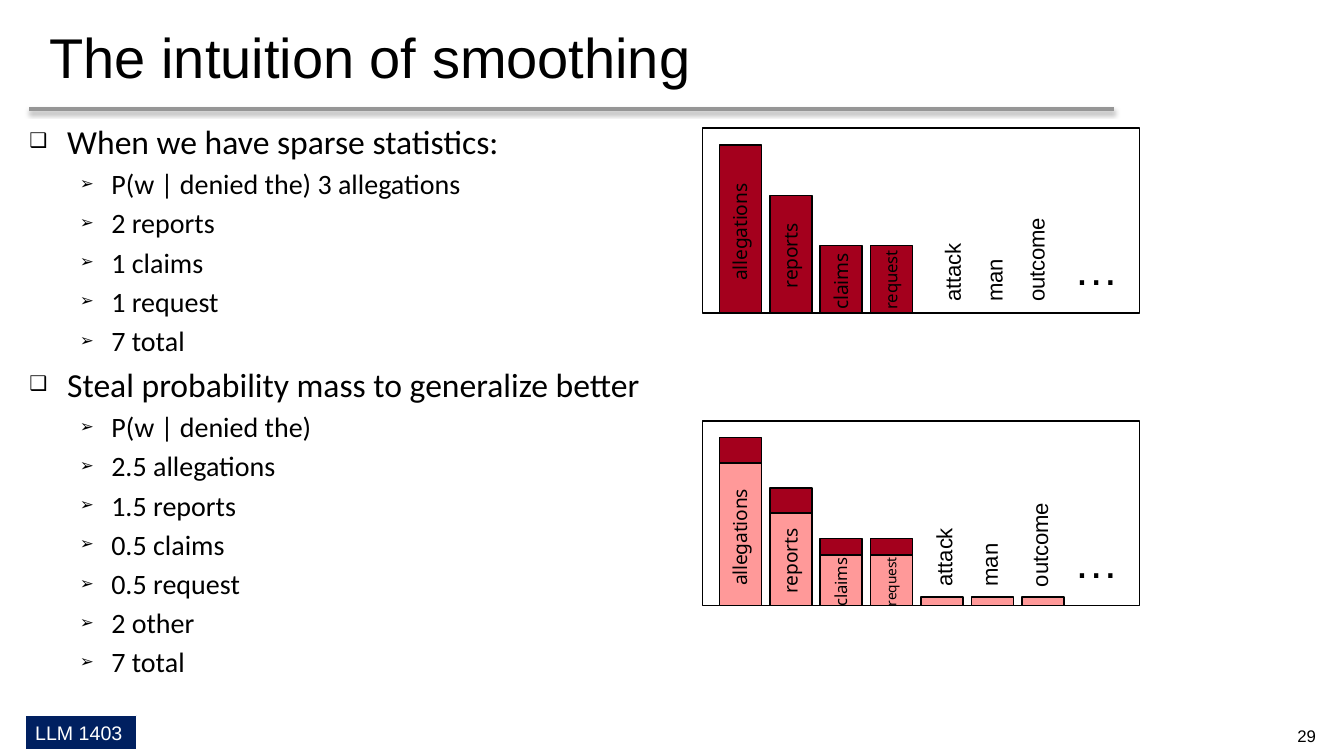
from lxml import etree
from pptx import Presentation
from pptx import util as u
from pptx.dml import color
from pptx.enum import shapes, text
from pptx.oxml import ns

CELL = 1 / 12  # the page is a grid of 160 by 90 cells
FRAME = (52, 22)  # bar panel, in cells
BAR_WIDTH, BAR_STEP, BAR_START = 5, 6, 2
BLACK, WHITE, DARK, LIGHT = "000000", "FFFFFF", "A4001D", "FF9999"

OUTLINE = [
    ("When we have sparse statistics:", [
        "P(w | denied the) 3 allegations", "2 reports", "1 claims",
        "1 request", "7 total"]),
    ("Steal probability mass to generalize better", [
        "P(w | denied the)", "2.5 allegations", "1.5 reports", "0.5 claims",
        "0.5 request", "2 other", "7 total"]),
]
# Bars: word, cells in full, cells kept, text size, text length in cells
RAW_BARS = [
    ("allegations", 20, 0, 13.7, 12.6), ("reports", 14, 0, 13.7, 8.4),
    ("claims", 8, 0, 13.7, 7.5), ("request", 8, 0, 11.9, 7.5),
]
SMOOTH_BARS = [
    ("allegations", 20, 17, 13.7, 12.6), ("reports", 14, 11, 13.7, 8.4),
    ("claims", 8, 6, 11.9, 6.5), ("request", 8, 6, 9.8, 6.4),
] + [("", 0, 1, 0, 0)] * 3
# Unseen words: box inside the panel, then paragraphs with their spacing
RAW_WORDS = [
    ((28.2, 10.3, 12.5, 10.4),
     [("attack", {"line": u.Pt(18.4)}), ("man outcome", {"line": 1.58})]),
]
SMOOTH_WORDS = [
    ((27.2, 12.4, 8.6, 7.3),
     [("attack", {"line": u.Pt(18.4)}), ("man", {"before": 13.5})]),
    ((38.6, 9.4, 3, 10.4), [("outcome", {"line": u.Pt(18.4)})]),
]


def cells(*values):
    return [u.Inches(value * CELL) for value in values]


def rgb(value):
    return color.RGBColor.from_string(value)


def write(para, words, size, font="Arial", fill=BLACK, align=None,
          line=None, before=None, tracking=None):
    span = para.add_run()
    span.text = words
    span.font.size, span.font.name = u.Pt(size), font
    span.font.color.rgb = rgb(fill)
    if align is not None:
        para.alignment = align
    if line is not None:
        para.line_spacing = line
    if before is not None:
        para.space_before = u.Pt(before)
    if tracking is not None:
        span.font._element.set("spc", str(tracking))


def add_text(page, box, paragraphs, vertical=False, **look):
    frame = page.shapes.add_textbox(*cells(*box)).text_frame
    frame.word_wrap = True
    frame.margin_left = frame.margin_right = 0
    frame.margin_top = frame.margin_bottom = 0
    if vertical:
        frame._txBody.bodyPr.set("vert", "vert270")
    for index, (words, spacing) in enumerate(paragraphs):
        para = frame.add_paragraph() if index else frame.paragraphs[0]
        write(para, words, **look, **spacing)
    return frame


def add_rect(page, box, fill=None, line=BLACK, weight=1.07):
    rect = page.shapes.add_shape(shapes.MSO_SHAPE.RECTANGLE, *cells(*box))
    rect.shadow.inherit = False
    if fill:
        rect.fill.solid()
        rect.fill.fore_color.rgb = rgb(fill)
    else:
        rect.fill.background()
    if line:
        rect.line.color.rgb = rgb(line)
        rect.line.width = u.Pt(weight)
    else:
        rect.line.fill.background()
    return rect


def fit_placeholder(holder, box, top_margin):
    holder.left, holder.top, holder.width, holder.height = cells(*box)
    frame = holder.text_frame
    frame.auto_size = text.MSO_AUTO_SIZE.NONE
    frame.word_wrap = True
    frame.margin_left = frame.margin_right = frame.margin_bottom = 0
    frame.margin_top = u.Inches(top_margin)
    return frame


def add_heading(page, box):
    frame = fit_placeholder(page.shapes.title, box, 0.01)
    frame.vertical_anchor = text.MSO_ANCHOR.MIDDLE
    para = frame.paragraphs[0]
    write(para, "The intuition of smoothing", 40, align=text.PP_ALIGN.LEFT)
    para._p.get_or_add_pPr().set("marL", str(u.Inches(0.2)))

    # Rule under the title, with a soft shadow
    rule = page.shapes.add_connector(
        shapes.MSO_CONNECTOR.STRAIGHT, *cells(box[0], 13, 132.6, 13))
    rule.line.color.rgb = rgb("969696")
    rule.line.width = u.Pt(3)
    effects = etree.SubElement(rule._element.spPr, ns.qn("a:effectLst"))
    shadow = etree.SubElement(
        effects, ns.qn("a:outerShdw"), blurRad=str(u.Pt(3.1)),
        dist=str(u.Pt(1.8)), dir="5400000", rotWithShape="0")
    tint = etree.SubElement(shadow, ns.qn("a:srgbClr"), val=BLACK)
    etree.SubElement(tint, ns.qn("a:alpha"), val="35000")


def add_outline(page, box):
    frame = fit_placeholder(page.placeholders[1], box, 0.12)

    def add_item(words, level, size, margin, hang, bullet):
        first = not frame.paragraphs[0].runs
        para = frame.paragraphs[0] if first else frame.add_paragraph()
        para.level = level
        if first:
            para.space_before = u.Pt(0)
        props = para._p.get_or_add_pPr()
        margin, hang = cells(margin, hang)
        props.set("marL", str(margin))
        props.set("indent", str(-hang))
        etree.SubElement(props, ns.qn("a:buSzPct"), val="60000")
        etree.SubElement(props, ns.qn("a:buChar"), char=bullet)
        write(para, words, size, "Calibri")

    for heading, items in OUTLINE:
        add_item(heading, 0, 24, 4.5, 4.5, "❑")
        for item in items:
            add_item(item, 1, 20, 9.75, 3.75, "➢")


def add_bar_panel(page, left, top, bars, unseen):
    width, height = FRAME
    base = top + height
    add_rect(page, (left, top, width, height))

    # Bars: the part taken away, the full outline, the part kept
    for index, (word, full, kept, size, length) in enumerate(bars):
        x = left + BAR_START + index * BAR_STEP
        if full:
            add_rect(page, (x, base - full, BAR_WIDTH, full - kept), DARK,
                     line=None)
            add_rect(page, (x, base - full, BAR_WIDTH, full))
        if kept:
            add_rect(page, (x, base - kept, BAR_WIDTH, kept), LIGHT)
        if word:
            thick = size / 5
            middle = base - (kept or full) / 2 - 0.15
            add_text(page, (x + (BAR_WIDTH - thick) / 2 - 0.1,
                            middle - length / 2, thick, length),
                     [(word, {})], vertical=True,
                     size=size, font="Noto Sans", tracking=-10)

    # Words without counts, and the dots after them
    for (x, y, wide, tall), paragraphs in unseen:
        add_text(page, (left + x, top + y, wide, tall), paragraphs,
                 vertical=True, size=15.8, tracking=-10)
    add_text(page, (left + 44.2, top + 13.4, 5.6, 6.6), [("…", {})],
             size=32, tracking=10)


def add_footer(page, top):
    badge = add_rect(page, (3, top, 13.3, 4.05), "002060", WHITE, 0.75)
    write(badge.text_frame.paragraphs[0], "LLM 1403", 14, fill=WHITE,
          align=text.PP_ALIGN.LEFT)
    number = add_text(page, (151.1, top, 8.9, 4.8), [("29", {})], size=12,
                      align=text.PP_ALIGN.CENTER)
    number.vertical_anchor = text.MSO_ANCHOR.MIDDLE


def main():
    deck = Presentation()
    deck.slide_width, deck.slide_height = cells(160, 90)
    page = deck.slides.add_slide(deck.slide_layouts[1])
    add_heading(page, (3.5, 2.5, 153, 8.2))
    add_outline(page, (3.5, 12.93, 153, 72.1))
    add_bar_panel(page, 83.65, 15.25, RAW_BARS, RAW_WORDS)
    add_bar_panel(page, 83.65, 50.1, SMOOTH_BARS, SMOOTH_WORDS)
    add_footer(page, 85.15)
    deck.save("out.pptx")


if __name__ == "__main__":
    main()
